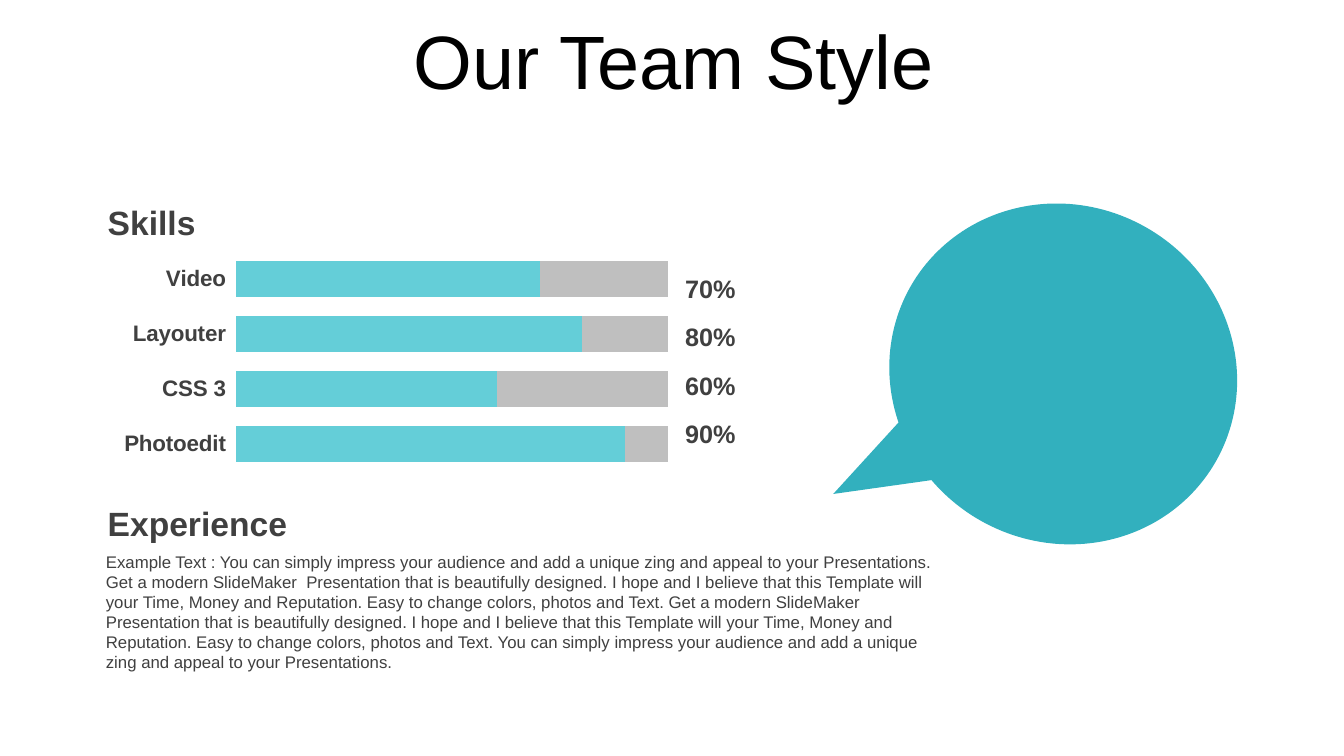
from pptx import Presentation
from pptx.chart.data import CategoryChartData
from pptx.dml.color import RGBColor
from pptx.enum.chart import XL_CHART_TYPE as ChartType
from pptx.enum.shapes import MSO_SHAPE as Preset
from pptx.enum.text import MSO_ANCHOR as Anchor, MSO_AUTO_SIZE as AutoSize, PP_ALIGN as Align
from pptx.oxml import parse_xml
from pptx.oxml.ns import nsdecls
from pptx.util import Inches, Pt

COLORS = {
    "title": "000000",
    "text": "404040",
    "bubble": "32B0BE",
    "skill": "64CED8",
    "rest": "BFBFBF",
}
FONT = "Arial"
HEADING = {"size": Pt(24), "bold": True}
PERCENT = {"size": Pt(18), "bold": True}
BODY = {"size": Pt(12)}

# Bars run from the bottom category upwards.
SKILLS = {"Photoedit": (100, 11), "CSS 3": (67, 44), "Layouter": (89, 22), "Video": (78, 33)}
PERCENTAGES = ["70%", "80%", "60%", "90%"]

MODERN = (
    "Get a modern SlideMaker  Presentation that is beautifully designed. "
    "I hope and I believe that this Template will your Time, Money and Reputation. "
    "Easy to change colors, photos and Text. "
)
IMPRESS = (
    "You can simply impress your audience and add a unique zing "
    "and appeal to your Presentations."
)
EXPERIENCE = f"Example Text : {IMPRESS} {MODERN}{MODERN}{IMPRESS}"


def color(name):
    """Return the named colour."""
    return RGBColor.from_string(COLORS[name])


def format_font(font, values, color_name="text"):
    """Set the typeface, the colour and the given font values."""
    for attribute, value in {"name": FONT, **values}.items():
        setattr(font, attribute, value)
    font.color.rgb = color(color_name)


def place(shape, *box):
    """Move a shape to left, top, width and height in inches."""
    for attribute, value in zip(("left", "top", "width", "height"), box):
        setattr(shape, attribute, Inches(value))


def set_title(slide, text):
    """Fill and format the title placeholder."""
    title = slide.shapes.title
    place(title, 0.35, 0.25, 12.66, 0.79)
    frame = title.text_frame
    frame.text = text
    frame.vertical_anchor = Anchor.MIDDLE
    frame.auto_size = AutoSize.NONE
    paragraph = frame.paragraphs[0]
    values = {"alignment": Align.CENTER, "line_spacing": 0.9, "space_before": Pt(10)}
    for attribute, value in values.items():
        setattr(paragraph, attribute, value)
    format_font(paragraph.runs[0].font, {"size": Pt(54)}, "title")


def add_text(slide, text, box, font_values, alignment=Align.LEFT, side_inset=0.1):
    """Add a wrapping text box with one paragraph."""
    text_box = slide.shapes.add_textbox(*map(Inches, box))
    frame = text_box.text_frame
    values = {
        "word_wrap": True,
        "auto_size": AutoSize.SHAPE_TO_FIT_TEXT,
        "margin_left": Inches(side_inset),
        "margin_right": Inches(side_inset),
    }
    for attribute, value in values.items():
        setattr(frame, attribute, value)
    paragraph = frame.paragraphs[0]
    paragraph.alignment = alignment
    run = paragraph.add_run()
    run.text = text
    format_font(run.font, font_values)


def add_bubble(slide):
    """Add the turned speech bubble."""
    bubble = slide.shapes.add_shape(
        Preset.OVAL_CALLOUT, Inches(8.8), Inches(2.04), Inches(3.49), Inches(3.34)
    )
    bubble.rotation = 31.4
    bubble.adjustments[0] = -0.38
    bubble.adjustments[1] = 0.66
    bubble.shadow.inherit = False
    bubble.fill.solid()
    bubble.fill.fore_color.rgb = color("bubble")
    bubble.line.fill.background()


def set_plot_area(chart, **fractions):
    """Fix the inner plot area as fractions of the chart."""
    plot_area = chart._chartSpace.chart.plotArea
    for layout in plot_area.findall("{*}layout"):
        plot_area.remove(layout)
    numbers = "".join(f'<c:{key} val="{value}"/>' for key, value in fractions.items())
    plot_area.insert(0, parse_xml(
        f'<c:layout {nsdecls("c")}><c:manualLayout><c:layoutTarget val="inner"/>'
        f'<c:xMode val="edge"/><c:yMode val="edge"/>{numbers}</c:manualLayout></c:layout>'
    ))


def add_skills_chart(slide):
    """Add the stacked bars of the skills."""
    data = CategoryChartData()
    data.categories = list(SKILLS)
    for number, values in enumerate(zip(*SKILLS.values()), start=1):
        data.add_series(f"Series {number}", values)
    chart = slide.shapes.add_chart(
        ChartType.BAR_STACKED, Inches(0.97), Inches(2.45), Inches(6.65), Inches(2.26), data
    ).chart
    chart.has_legend = False
    chart.has_title = False
    format_font(chart.font, {"size": Pt(18)}, "title")

    plot = chart.plots[0]
    for attribute, value in {"gap_width": 54, "overlap": 100, "vary_by_categories": False}.items():
        setattr(plot, attribute, value)
    for series, name in zip(plot.series, ("skill", "rest")):
        series.format.fill.solid()
        series.format.fill.fore_color.rgb = color(name)

    format_font(chart.category_axis.tick_labels.font, {"size": Pt(16), "bold": True})
    chart.category_axis.format.line.fill.background()
    axis_values = {
        "minimum_scale": 0,
        "maximum_scale": 120,
        "has_major_gridlines": False,
        "visible": False,
    }
    for attribute, value in axis_values.items():
        setattr(chart.value_axis, attribute, value)
    set_plot_area(chart, x=0.206, y=0.02, w=0.697, h=0.965)


def main():
    """Build and save the slide."""
    presentation = Presentation()
    presentation.slide_width = Inches(13.33)
    presentation.slide_height = Inches(7.5)
    slide = presentation.slides.add_slide(presentation.slide_layouts.get_by_name("Title Only"))

    set_title(slide, "Our Team Style")
    add_bubble(slide)
    add_skills_chart(slide)
    add_text(slide, EXPERIENCE, (0.97, 5.42, 8.39, 1.31), BODY, side_inset=0.08)
    for heading, top in (("Skills", 1.95), ("Experience", 4.94)):
        add_text(slide, heading, (0.97, top, 3.3, 0.5), HEADING)
    for row, percentage in enumerate(PERCENTAGES):
        box = (6.69, 2.66 + row * 0.48, 0.71, 0.4)
        add_text(slide, percentage, box, PERCENT, Align.CENTER)

    presentation.save("out.pptx")


main()
